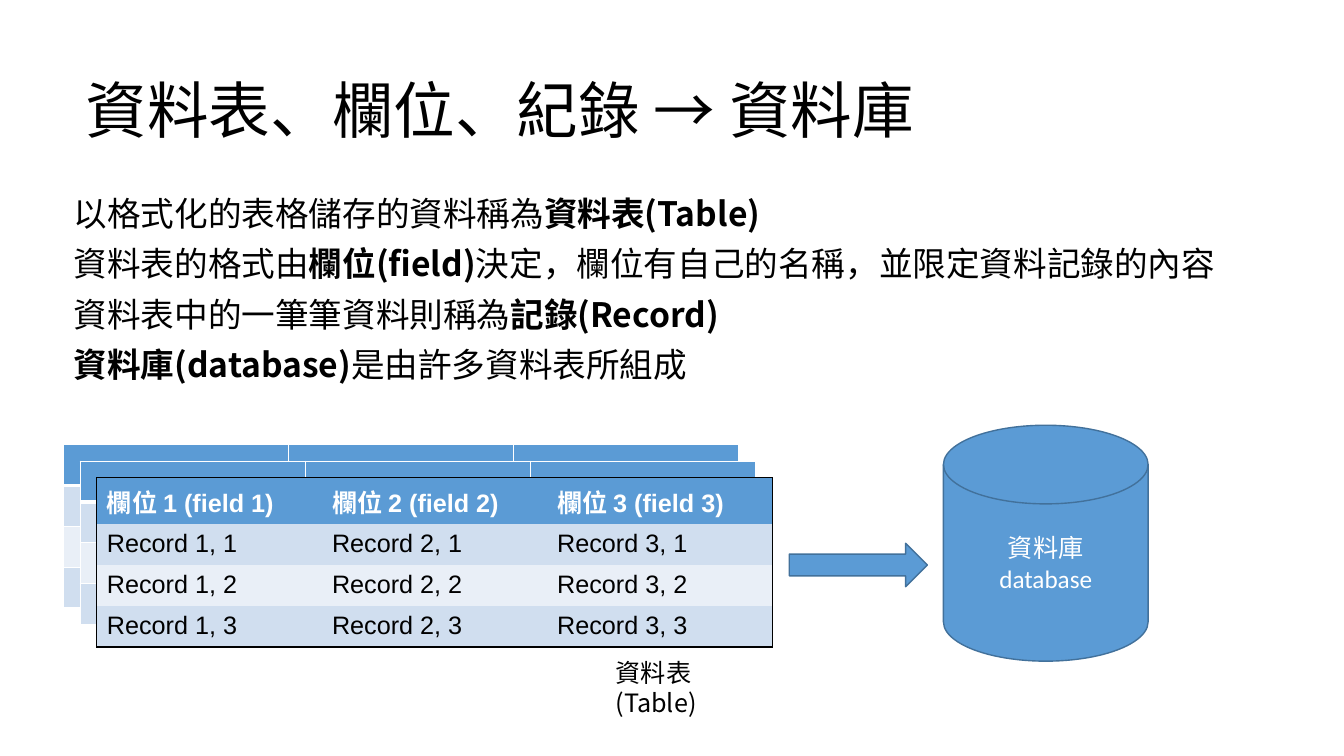
from dataclasses import dataclass

from lxml.etree import SubElement
from pptx import Presentation
from pptx.dml.color import RGBColor
from pptx.enum.shapes import MSO_SHAPE
from pptx.enum.text import MSO_ANCHOR, MSO_AUTO_SIZE, PP_ALIGN
from pptx.oxml.ns import qn
from pptx.util import Pt


@dataclass(frozen=True)
class Theme:
    black: str = "000000"
    white: str = "FFFFFF"
    accent: str = "5B9BD5"
    outline: str = "42719B"
    bands: tuple = ("D0DEEF", "E9EFF7")
    title: int = 44
    body: int = 24
    small: int = 18
    head_font: str = "Calibri"
    cjk_font: str = "Noto Sans CJK TC"
    table_font: str = "Arial"


def assign(obj, values):
    for name, value in values.items():
        setattr(obj, name, value)


class SlideBuilder:
    def __init__(self, slide, theme):
        self.s = slide
        self.t = theme

    def place(self, sp, box):
        assign(sp, dict(zip(("left", "top", "width", "height"), map(Pt, box))))

    def run(self, p, text, size, font, color, bold=False):
        r = p.add_run()
        r.text = text
        assign(r.font, {"size": Pt(size), "name": font, "bold": bold})
        r.font.color.rgb = RGBColor.from_string(color)
        SubElement(r._r.get_or_add_rPr(), qn("a:ea"), typeface=self.t.cjk_font)

    def title(self, text, box):
        sp = self.s.shapes.title
        self.place(sp, box)
        tf = sp.text_frame
        assign(tf, {"vertical_anchor": MSO_ANCHOR.MIDDLE, "word_wrap": True,
                    "auto_size": MSO_AUTO_SIZE.NONE})
        p = tf.paragraphs[0]
        assign(p, {"alignment": PP_ALIGN.LEFT, "line_spacing": 0.9})
        self.run(p, text, self.t.title, self.t.head_font, self.t.black)

    def body(self, lines, box):
        sp = self.s.placeholders[1]
        self.place(sp, box)
        tf = sp.text_frame
        assign(tf, {"vertical_anchor": MSO_ANCHOR.TOP, "word_wrap": True,
                    "auto_size": MSO_AUTO_SIZE.NONE})
        for i, line in enumerate(lines):
            p = tf.add_paragraph() if i else tf.paragraphs[0]
            assign(p, {"line_spacing": 0.9, "space_before": Pt(10 if i else 0)})
            pPr = p._p.get_or_add_pPr()
            pPr.set("marL", "0")
            pPr.set("indent", "0")
            SubElement(pPr, qn("a:buNone"))
            for text, bold in line:
                self.run(p, text, self.t.body, self.t.cjk_font, self.t.black, bold)

    def border(self, cell, edges):
        tcPr = cell._tc.get_or_add_tcPr()
        for i, (side, (color, width)) in enumerate(edges.items()):
            ln = SubElement(tcPr, qn(f"a:ln{side}"), w=str(Pt(width)))
            if color:
                fill = SubElement(ln, qn("a:solidFill"))
                SubElement(fill, qn("a:srgbClr"), val=color)
            else:
                SubElement(ln, qn("a:noFill"))
            tcPr.insert(i, ln)

    def edges(self, row, col, rows, cols, framed):
        if framed:
            outer = {"L": col == 0, "R": col == cols - 1,
                     "T": row == 0, "B": row == rows - 1}
            return {side: (self.t.black if on else None, 1) for side, on in outer.items()}
        edges = {side: (self.t.white, 1) for side in "LRTB"}
        if row < 2:
            edges["B" if row == 0 else "T"] = (self.t.white, 3)
        return edges

    def table(self, box, rows, cols, texts=None):
        tbl = self.s.shapes.add_table(rows, cols, *map(Pt, box)).table
        for row in range(rows):
            for col in range(cols):
                cell = tbl.cell(row, col)
                cell.fill.solid()
                color = self.t.bands[(row - 1) % 2] if row else self.t.accent
                cell.fill.fore_color.rgb = RGBColor.from_string(color)
                self.border(cell, self.edges(row, col, rows, cols, texts is not None))
                if texts:
                    self.run(cell.text_frame.paragraphs[0], texts[row][col],
                             self.t.small, self.t.table_font,
                             self.t.black if row else self.t.white, row == 0)

    def shape(self, kind, box, lines=()):
        sp = self.s.shapes.add_shape(kind, *map(Pt, box))
        sp.shadow.inherit = False
        sp.fill.solid()
        sp.fill.fore_color.rgb = RGBColor.from_string(self.t.accent)
        sp.line.color.rgb = RGBColor.from_string(self.t.outline)
        sp.line.width = Pt(1)
        tf = sp.text_frame
        tf.vertical_anchor = MSO_ANCHOR.MIDDLE
        for i, text in enumerate(lines):
            p = tf.add_paragraph() if i else tf.paragraphs[0]
            p.alignment = PP_ALIGN.CENTER
            self.run(p, text, self.t.small, self.t.head_font, self.t.white)

    def label(self, text, box):
        tf = self.s.shapes.add_textbox(*map(Pt, box)).text_frame
        assign(tf, {"word_wrap": True, "auto_size": MSO_AUTO_SIZE.SHAPE_TO_FIT_TEXT})
        self.run(tf.paragraphs[0], text, self.t.small, self.t.cjk_font, self.t.black)


def main():
    prs = Presentation()
    assign(prs, {"slide_width": Pt(960), "slide_height": Pt(540)})
    b = SlideBuilder(prs.slides.add_slide(prs.slide_layouts[1]), Theme())

    b.title("資料表、欄位、紀錄 → 資料庫", (54, 28.8, 839.5, 104.4))
    b.body([
        [("以格式化的表格儲存的資料稱為", False), ("資料表(Table)", True)],
        [("資料表的格式由", False), ("欄位(field)", True),
         ("決定，欄位有自己的名稱，並限定資料記錄的內容", False)],
        [("資料表中的一筆筆資料則稱為", False), ("記錄(Record)", True)],
        [("資料庫(database)", True), ("是由許多資料表所組成", False)],
    ], (45.4, 137.5, 869.8, 342.7))

    rows, cols, step = 4, 3, 11.9
    header = [f"欄位 {c} (field {c})" for c in range(1, cols + 1)]
    records = [[f"Record {c}, {r}" for c in range(1, cols + 1)] for r in range(1, rows)]
    for i, texts in enumerate((None, None, [header, *records])):
        b.table((45.4 + i * step, 317.5 + i * step, 482.4, 116.8), rows, cols, texts)

    b.shape(MSO_SHAPE.FLOWCHART_MAGNETIC_DISK, (673.9, 303.8, 146.2, 168.5),
            ("資料庫", "database"))
    b.shape(MSO_SHAPE.RIGHT_ARROW, (563.8, 388.1, 98.6, 31))
    b.label("資料表(Table)", (432.7, 465.8, 125.3, 28.8))
    prs.save("out.pptx")


if __name__ == "__main__":
    main()
